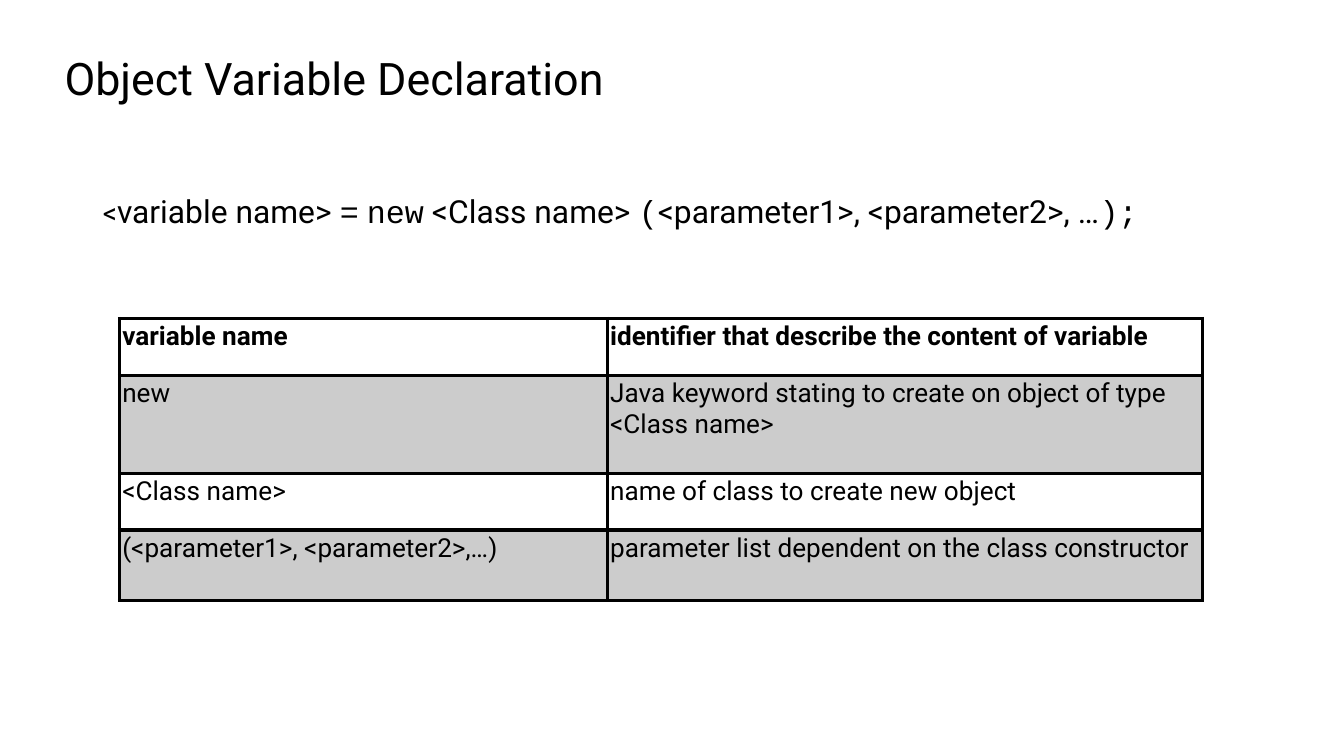
"""Build the slide on declaring object variables."""
from lxml.etree import SubElement
from pptx import Presentation
from pptx.dml.color import RGBColor
from pptx.enum.text import MSO_ANCHOR, PP_ALIGN
from pptx.oxml.ns import qn
from pptx.util import Pt

PX = 4572
COLORS = {"ink": "000000", "paper": "FFFFFF"}
SANS, MONO = "Roboto", "Courier New"
BAND_OPACITY = 20
BORDER_PT = 2

TITLE = "Object Variable Declaration"
SYNTAX = [
    ("<", SANS, 15),
    ("variable name> ", SANS, 17),
    ("=", MONO, 17),
    (" ", SANS, 17),
    ("new", MONO, 17),
    (" <Class name> ", SANS, 17),
    ("(", MONO, 17),
    ("<parameter1>, <parameter2>, …", SANS, 17),
    (");", MONO, 17),
]
ROWS = [
    ("variable name", "identifier that describe the content of variable"),
    ("new", "Java keyword stating to create on object of type <Class name>"),
    ("<Class name>", "name of class to create new object"),
    ("(<parameter1>, <parameter2>,…)", "parameter list dependent on the class constructor"),
]
SLIDE_SIZE = (2000, 1125)
COLUMN_WIDTHS = (726, 885)
ROW_HEIGHTS = (85, 146, 84, 105)
TITLE_AREA = (96, 76, 1808, 90)
SYNTAX_AREA = (145, 278, 1680, 90)
TABLE_AREA = (178, 474, sum(COLUMN_WIDTHS), sum(ROW_HEIGHTS))


def scaled(lengths):
    return [length * PX for length in lengths]


def set_font(font, name, size, bold=False):
    font.name, font.size, font.bold = name, Pt(size), bold
    font.color.rgb = RGBColor.from_string(COLORS["ink"])


def set_margins(target, margin):
    for side in ("left", "top", "right", "bottom"):
        setattr(target, f"margin_{side}", margin * PX)


def add_title(page):
    box = page.shapes.title
    box.left, box.top, box.width, box.height = scaled(TITLE_AREA)
    frame = box.text_frame
    set_margins(frame, 0)
    frame.vertical_anchor = MSO_ANCHOR.TOP
    frame.text = TITLE
    para = frame.paragraphs[0]
    para.alignment = PP_ALIGN.LEFT
    set_font(para.font, SANS, 24)


def add_syntax(page):
    frame = page.shapes.add_textbox(*scaled(SYNTAX_AREA)).text_frame
    frame.word_wrap = True
    set_margins(frame, 8)
    for text, font_name, size in SYNTAX:
        span = frame.paragraphs[0].add_run()
        span.text = text
        set_font(span.font, font_name, size)


def set_borders(cell):
    properties = cell._tc.get_or_add_tcPr()
    for index, edge in enumerate(("lnL", "lnR", "lnT", "lnB")):
        line = properties.makeelement(qn(f"a:{edge}"), {"w": str(Pt(BORDER_PT))})
        properties.insert(index, line)
        fill = SubElement(line, qn("a:solidFill"))
        SubElement(fill, qn("a:srgbClr"), val=COLORS["ink"])


def set_band(cell, shaded):
    if not shaded:
        cell.fill.background()
        return
    cell.fill.solid()
    cell.fill.fore_color.rgb = RGBColor.from_string(COLORS["ink"])
    color = cell._tc.tcPr.find(qn("a:solidFill")).find(qn("a:srgbClr"))
    SubElement(color, qn("a:alpha"), val=str(BAND_OPACITY * 1000))


def add_terms(page):
    table = page.shapes.add_table(len(ROWS), len(COLUMN_WIDTHS), *scaled(TABLE_AREA)).table
    table.first_row = table.horz_banding = False
    for column, width in zip(table.columns, scaled(COLUMN_WIDTHS)):
        column.width = width
    for row, height in zip(table.rows, scaled(ROW_HEIGHTS)):
        row.height = height
    for row_index, texts in enumerate(ROWS):
        for column_index, text in enumerate(texts):
            cell = table.cell(row_index, column_index)
            cell.text = text
            set_margins(cell, 4)
            set_font(cell.text_frame.paragraphs[0].font, SANS, 14, bold=row_index == 0)
            set_band(cell, shaded=row_index % 2 == 1)
            set_borders(cell)


def main():
    deck = Presentation()
    deck.slide_width, deck.slide_height = scaled(SLIDE_SIZE)
    page = deck.slides.add_slide(deck.slide_layouts[5])
    page.background.fill.solid()
    page.background.fill.fore_color.rgb = RGBColor.from_string(COLORS["paper"])
    add_title(page)
    add_syntax(page)
    add_terms(page)
    deck.save("out.pptx")


if __name__ == "__main__":
    main()
